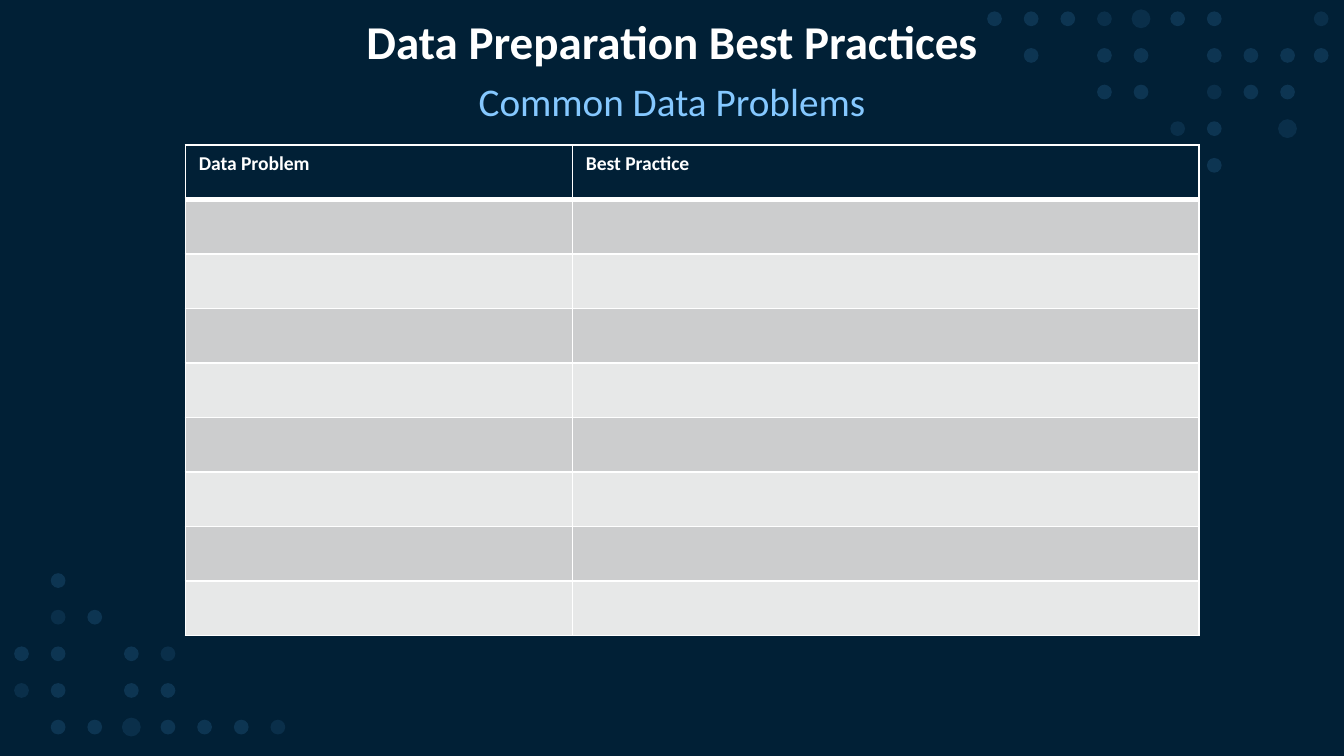
from dataclasses import dataclass

from lxml import etree
from pptx import Presentation
from pptx import util as u
from pptx.dml.color import RGBColor
from pptx.enum import shapes, text
from pptx.oxml import ns

FONT = "Calibri"
NAVY, WHITE, SKY, DOT_BLUE = "012036", "FFFFFF", "85C8FF", "5CB5FF"
BANDS = ("CCCDCE", "E7E8E8")
SLIDE_WIDTH = 10
SLIDE_HEIGHT = SLIDE_WIDTH * 9 / 16
DOT_PITCH = 1.09 / 4


@dataclass(frozen=True)
class DotStyle:
    size: float
    alpha: int


@dataclass(frozen=True)
class DotField:
    x: float
    y: float
    rows: tuple[str, ...]


@dataclass(frozen=True)
class Heading:
    content: str
    top: float
    size: float
    color: str
    bold: bool
    spacing: float
    anchor: text.MSO_ANCHOR


DOT_STYLES = {
    "o": DotStyle(0.11, 14),
    "f": DotStyle(0.11, 10),
    "L": DotStyle(0.14, 10),
}
DOT_FIELDS = (
    DotField(7.4, 0.14, ("ooofLoo", ".o.oo.ooo", "...oo.foo", ".....fo.L", "......o")),
    DotField(9.83, 0.14, ("f", "o")),
    DotField(0.16, 4.32, (".o", ".fo", "oo.of", "fo.oo", ".ooLooof")),
)
HEADINGS = (
    Heading("Data Preparation Best Practices", 0.08, 25.2, WHITE, True, 0.9,
            text.MSO_ANCHOR.MIDDLE),
    Heading("Common Data Problems", 0.58, 21, SKY, False, 0.85,
            text.MSO_ANCHOR.TOP),
)
COLUMNS = (("Data Problem", 2.88), ("Best Practice", 4.66))
ROW_COUNT = 9
TABLE_HEIGHT = 3.65


def rgb(color: str) -> RGBColor:
    return RGBColor.from_string(color)


def add_run(p, content: str, size: float, color: str, bold: bool) -> None:
    r = p.add_run()
    r.text = content
    r.font.name = FONT
    r.font.size = u.Pt(size)
    r.font.bold = bold
    r.font.color.rgb = rgb(color)


def add_dot(s, x: float, y: float, style: DotStyle) -> None:
    sp = s.shapes.add_shape(
        shapes.MSO_SHAPE.OVAL, u.Inches(x - style.size / 2),
        u.Inches(y - style.size / 2), u.Inches(style.size), u.Inches(style.size))
    sp.shadow.inherit = False
    sp.line.fill.background()
    sp.fill.solid()
    sp.fill.fore_color.rgb = rgb(DOT_BLUE)
    color = sp.element.spPr.find(".//" + ns.qn("a:srgbClr"))
    etree.SubElement(color, ns.qn("a:alpha"), val=str(style.alpha * 1000))


def add_dot_field(s, field: DotField) -> None:
    for j, row in enumerate(field.rows):
        for i, mark in enumerate(row):
            if mark in DOT_STYLES:
                add_dot(s, field.x + i * DOT_PITCH, field.y + j * DOT_PITCH,
                        DOT_STYLES[mark])


def add_heading(s, heading: Heading) -> None:
    sp = s.shapes.add_textbox(u.Inches(0.69), u.Inches(heading.top),
                              u.Inches(8.62), u.Inches(0.5))
    tf = sp.text_frame
    tf.word_wrap = True
    tf.vertical_anchor = heading.anchor
    p = tf.paragraphs[0]
    p.alignment = text.PP_ALIGN.CENTER
    p.line_spacing = heading.spacing
    add_run(p, heading.content, heading.size, heading.color, heading.bold)


def set_border(cell, side: str, width: float) -> None:
    props = cell._tc.get_or_add_tcPr()
    line = etree.SubElement(props, ns.qn(f"a:ln{side}"), w=str(u.Pt(width)))
    fill = etree.SubElement(line, ns.qn("a:solidFill"))
    etree.SubElement(fill, ns.qn("a:srgbClr"), val=WHITE)


def style_cell(cell, row: int) -> None:
    widths = {"L": 1, "R": 1, "T": 3 if row == 1 else 1, "B": 3 if row == 0 else 1}
    for side, width in widths.items():
        set_border(cell, side, width)
    cell.fill.solid()
    cell.fill.fore_color.rgb = rgb(BANDS[(row - 1) % 2] if row else NAVY)


def add_problem_table(s) -> None:
    width = sum(w for _, w in COLUMNS)
    table = s.shapes.add_table(
        ROW_COUNT, len(COLUMNS), u.Inches(1.38), u.Inches(1.08),
        u.Inches(width), u.Inches(TABLE_HEIGHT)).table
    table.horz_banding = False
    for row in table.rows:
        row.height = u.Inches(TABLE_HEIGHT / ROW_COUNT)
    for i, (label, column_width) in enumerate(COLUMNS):
        table.columns[i].width = u.Inches(column_width)
        add_run(table.cell(0, i).text_frame.paragraphs[0], label, 10.5, WHITE, True)
        for j in range(ROW_COUNT):
            style_cell(table.cell(j, i), j)


def main() -> None:
    prs = Presentation()
    prs.slide_width = u.Inches(SLIDE_WIDTH)
    prs.slide_height = u.Inches(SLIDE_HEIGHT)
    s = prs.slides.add_slide(prs.slide_layouts[6])
    s.background.fill.solid()
    s.background.fill.fore_color.rgb = rgb(NAVY)
    for field in DOT_FIELDS:
        add_dot_field(s, field)
    title, subtitle = HEADINGS
    add_heading(s, title)
    add_problem_table(s)
    add_heading(s, subtitle)
    prs.save("out.pptx")


if __name__ == "__main__":
    main()
